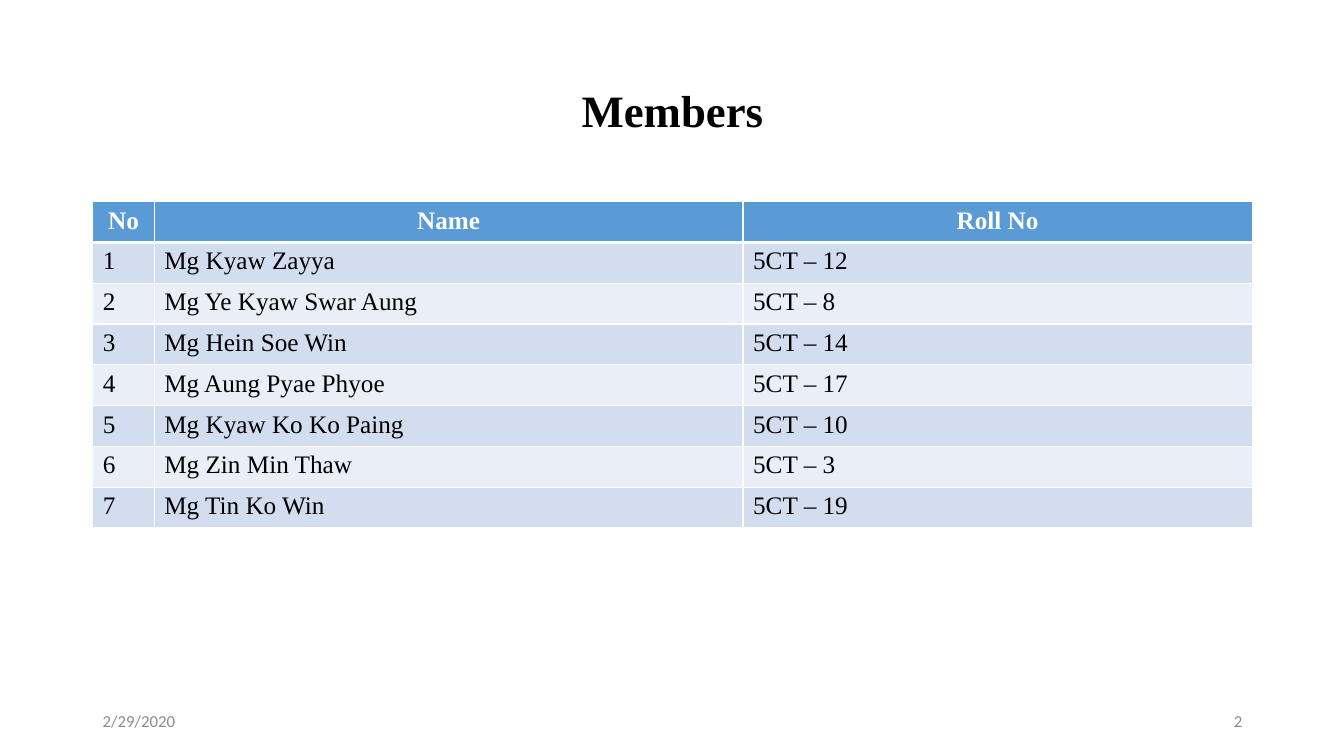
from lxml.etree import SubElement
from pptx import Presentation
from pptx.dml.color import RGBColor
from pptx.enum.text import MSO_ANCHOR, PP_ALIGN
from pptx.oxml.ns import qn
from pptx.util import Inches, Pt

# Content
TITLE = "Members"
HEADER = ("No", "Name", "Roll No")
MEMBERS = [
    ("Mg Kyaw Zayya", "5CT – 12"),
    ("Mg Ye Kyaw Swar Aung", "5CT – 8"),
    ("Mg Hein Soe Win", "5CT – 14"),
    ("Mg Aung Pyae Phyoe", "5CT – 17"),
    ("Mg Kyaw Ko Ko Paing", "5CT – 10"),
    ("Mg Zin Min Thaw", "5CT – 3"),
    ("Mg Tin Ko Win", "5CT – 19"),
]
DATE = "2/29/2020"
PAGE_NUMBER = "2"

COLORS = {
    "text": "000000",
    "white": "FFFFFF",
    "header": "5B9BD5",
    "odd": "D2DEEF",
    "even": "EAEFF7",
    "footer": "8C8C8C",
}
SERIF, SANS = "Times New Roman", "Calibri"
LEFT, WIDTH = 0.92, 11.5
COLUMN_WIDTHS = (0.61, 5.84, 5.05)
TABLE_TOP, TABLE_HEIGHT = 2, 3.24
FOOTER_TOP, FOOTER_WIDTH, FOOTER_HEIGHT = 6.95, 3, 0.4


def write(frame, text, size, font, color, bold=False, align=PP_ALIGN.LEFT):
    frame.text = text
    para = frame.paragraphs[0]
    para.alignment = align
    for span in para.runs:
        span.font.size = Pt(size)
        span.font.name = font
        span.font.bold = bold
        span.font.color.rgb = RGBColor.from_string(COLORS[color])
    return para


def add_text(page, left, top, width, height, text, *style):
    box = page.shapes.add_textbox(Inches(left), Inches(top), Inches(width), Inches(height))
    box.text_frame.word_wrap = True
    box.text_frame.vertical_anchor = MSO_ANCHOR.MIDDLE
    return write(box.text_frame, text, *style)


def set_borders(cell, widths):
    """Draw white borders; widths maps each side (L, R, T, B) to points."""
    properties = cell._tc.get_or_add_tcPr()
    for position, (side, width) in enumerate(widths.items()):
        line = SubElement(properties, qn(f"a:ln{side}"), w=str(Pt(width)))
        fill = SubElement(line, qn("a:solidFill"))
        SubElement(fill, qn("a:srgbClr"), val=COLORS["white"])
        properties.insert(position, line)  # borders come before the cell fill


def add_members_table(page):
    rows = [HEADER] + [(str(number), *member) for number, member in enumerate(MEMBERS, 1)]
    table = page.shapes.add_table(
        len(rows), len(HEADER),
        Inches(LEFT), Inches(TABLE_TOP), Inches(WIDTH), Inches(TABLE_HEIGHT),
    ).table
    for column, width in zip(table.columns, COLUMN_WIDTHS):
        column.width = Inches(width)

    for row_index, values in enumerate(rows):
        is_header = row_index == 0
        band = "header" if is_header else ("even", "odd")[row_index % 2]
        borders = {
            "L": 1,
            "R": 1,
            "T": 3 if row_index == 1 else 1,
            "B": 3 if is_header else 1,
        }
        for column_index, value in enumerate(values):
            cell = table.cell(row_index, column_index)
            cell.fill.solid()
            cell.fill.fore_color.rgb = RGBColor.from_string(COLORS[band])
            set_borders(cell, borders)
            write(cell.text_frame, value, 18, SERIF,
                  "white" if is_header else "text", is_header,
                  PP_ALIGN.CENTER if is_header else PP_ALIGN.LEFT)


def main():
    deck = Presentation()
    deck.slide_width, deck.slide_height = Inches(13.33), Inches(7.5)
    page = deck.slides.add_slide(deck.slide_layouts[6])

    # Title
    title = add_text(page, LEFT, 0.4, WIDTH, 1.45, TITLE,
                     32, SERIF, "text", True, PP_ALIGN.CENTER)
    title.line_spacing = 0.9

    # Members
    add_members_table(page)

    # Footer: page number on the right, date on the left
    footers = [
        (LEFT + WIDTH - FOOTER_WIDTH, PAGE_NUMBER, PP_ALIGN.RIGHT),
        (LEFT, DATE, PP_ALIGN.LEFT),
    ]
    for left, text, align in footers:
        add_text(page, left, FOOTER_TOP, FOOTER_WIDTH, FOOTER_HEIGHT, text,
                 12, SANS, "footer", False, align)

    deck.save("out.pptx")


if __name__ == "__main__":
    main()
